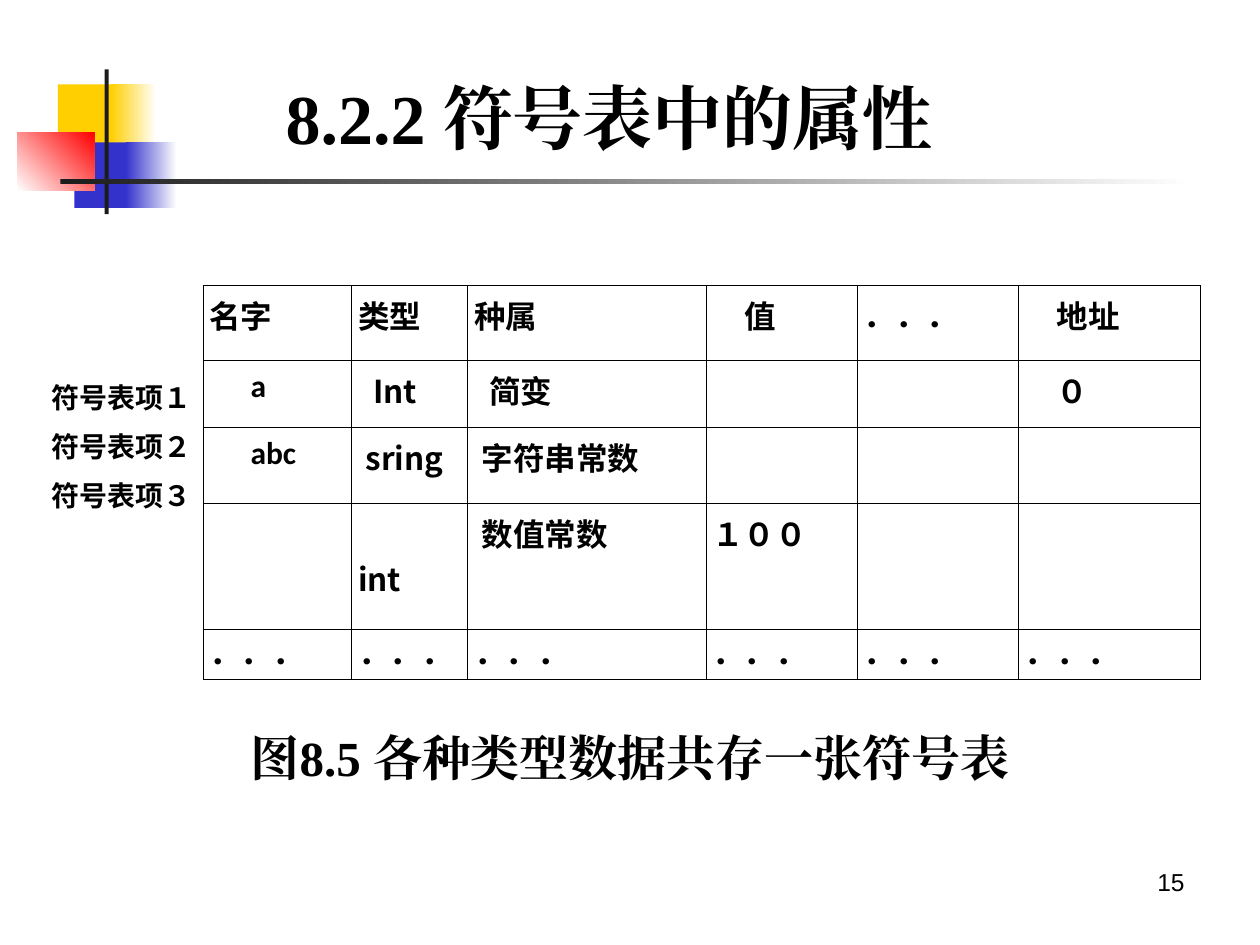
from lxml.etree import SubElement
from pptx import Presentation
from pptx.dml.color import RGBColor
from pptx.enum.shapes import MSO_SHAPE
from pptx.enum.text import MSO_ANCHOR as ANCHOR, PP_ALIGN as ALIGN
from pptx.oxml.ns import qn
from pptx.util import Cm, Pt


def rgb(value):
    return RGBColor.from_string(value)


def add_run(p, text, size, font, ea, bold=True):
    r = p.add_run()
    r.text = text
    r.font.size = Pt(size)
    r.font.name = font
    r.font.bold = bold
    r.font.color.rgb = rgb("000000")
    SubElement(r.font._element, qn("a:ea")).set("typeface", ea)


TIMES, CALIBRI, NOTO = "Times New Roman", "Calibri", "Noto Sans CJK SC"

prs = Presentation()
prs.slide_width, prs.slide_height = Cm(25.4), Cm(19.05)
s = prs.slides.add_slide(prs.slide_layouts[6])

decor = [
    (1.17, 1.7, 1.22, 1.32, ["FFCF01"], 0),
    (2.24, 1.7, 0.91, 1.32, ["FFCF01", "FFFFFF"], 0),
    (1.5, 2.87, 1.17, 1.32, ["3333CC"], 0),
    (2.54, 2.87, 1.02, 1.32, ["3333CC", "FFFFFF"], 0),
    (0.35, 2.67, 1.55, 1.17, ["FFFFFF", "FF0000"], 45),
    (2.11, 1.4, 0.08, 2.92, ["1C1C1C"], 0),
    (1.22, 3.61, 22.86, 0.1, ["1C1C1C", "FFFFFF"], 0),
]
for x, y, w, h, colors, angle in decor:
    sp = s.shapes.add_shape(MSO_SHAPE.RECTANGLE, Cm(x), Cm(y), Cm(w), Cm(h))
    sp.shadow.inherit = False
    sp.line.fill.background()
    if len(colors) == 1:
        sp.fill.solid()
        sp.fill.fore_color.rgb = rgb(colors[0])
    else:
        sp.fill.gradient()
        sp.fill.gradient_angle = angle
        for stop, color in zip(sp.fill.gradient_stops, colors):
            stop.color.rgb = rgb(color)

texts = [
    (5.51, 1.32, 13.79, 2.01, "8.2.2 符号表中的属性", 40, TIMES, True, ALIGN.LEFT, ANCHOR.BOTTOM, True),
    (4.57, 14.53, 16.26, 1.45, "图8.5 各种类型数据共存一张符号表", 28, TIMES, True, ALIGN.CENTER, ANCHOR.MIDDLE, False),
    (18.21, 17.35, 5.92, 1.32, "15", 14, "Arial", False, ALIGN.RIGHT, ANCHOR.TOP, True),
]
for i, digit in enumerate("１２３"):
    texts.append((0.79, 7.54 + 0.99 * i, 3.96, 0.94, "符号表项" + digit, 16, NOTO, True,
                  ALIGN.LEFT, ANCHOR.TOP, True))
for x, y, w, h, text, size, font, bold, align, anchor, wrap in texts:
    tf = s.shapes.add_textbox(Cm(x), Cm(y), Cm(w), Cm(h)).text_frame
    tf.word_wrap = wrap
    tf.vertical_anchor = anchor
    p = tf.paragraphs[0]
    p.alignment = align
    add_run(p, text, size, font, font, bold)

cols = [3, 2.34, 4.8, 3.05, 3.25, 3.66]
rows = [1.52, 1.35, 1.52, 2.54, 1.02]
dots = "．．．"
cells = [
    ["名字", "类型", "种属", "值", dots, "地址"],
    ["a", "Int", "简变", "", "", "０"],
    ["abc", "sring", "字符串常数", "", "", ""],
    ["", "int", "数值常数", "１００", "", ""],
    [dots] * 6,
]
indents = {"值": 0.64, "地址": 0.64, "０": 0.64, "a": 0.83, "abc": 0.83,
           "Int": 0.3, "简变": 0.3, "sring": 0.15, "字符串常数": 0.15, "数值常数": 0.15}

frame = s.shapes.add_table(len(rows), len(cols), Cm(4.09), Cm(5.75), Cm(sum(cols)), Cm(sum(rows)))
table = frame.table
for column, width in zip(table.columns, cols):
    column.width = Cm(width)
for i, height in enumerate(rows):
    table.rows[i].height = Cm(height)
    for j, text in enumerate(cells[i]):
        cell = table.cell(i, j)
        cell.margin_left = Cm(0.13 + indents.get(text, 0))
        cell.margin_right = cell.margin_bottom = Cm(0.13)
        cell.margin_top = Cm(1.05 if text == "int" else 0.13)
        tcPr = cell._tc.get_or_add_tcPr()
        for side in ("lnL", "lnR", "lnT", "lnB"):
            ln = SubElement(tcPr, qn("a:" + side), w=str(Pt(0.45)))
            fill = SubElement(ln, qn("a:solidFill"))
            SubElement(fill, qn("a:srgbClr"), val="000000")
        cell.fill.background()
        p = cell.text_frame.paragraphs[0]
        p.alignment = ALIGN.JUSTIFY
        if text:
            font = NOTO if text in ("Int", "sring", "int") else CALIBRI
            add_run(p, text, 18, font, CALIBRI if i == len(rows) - 1 else NOTO)

prs.save("out.pptx")
